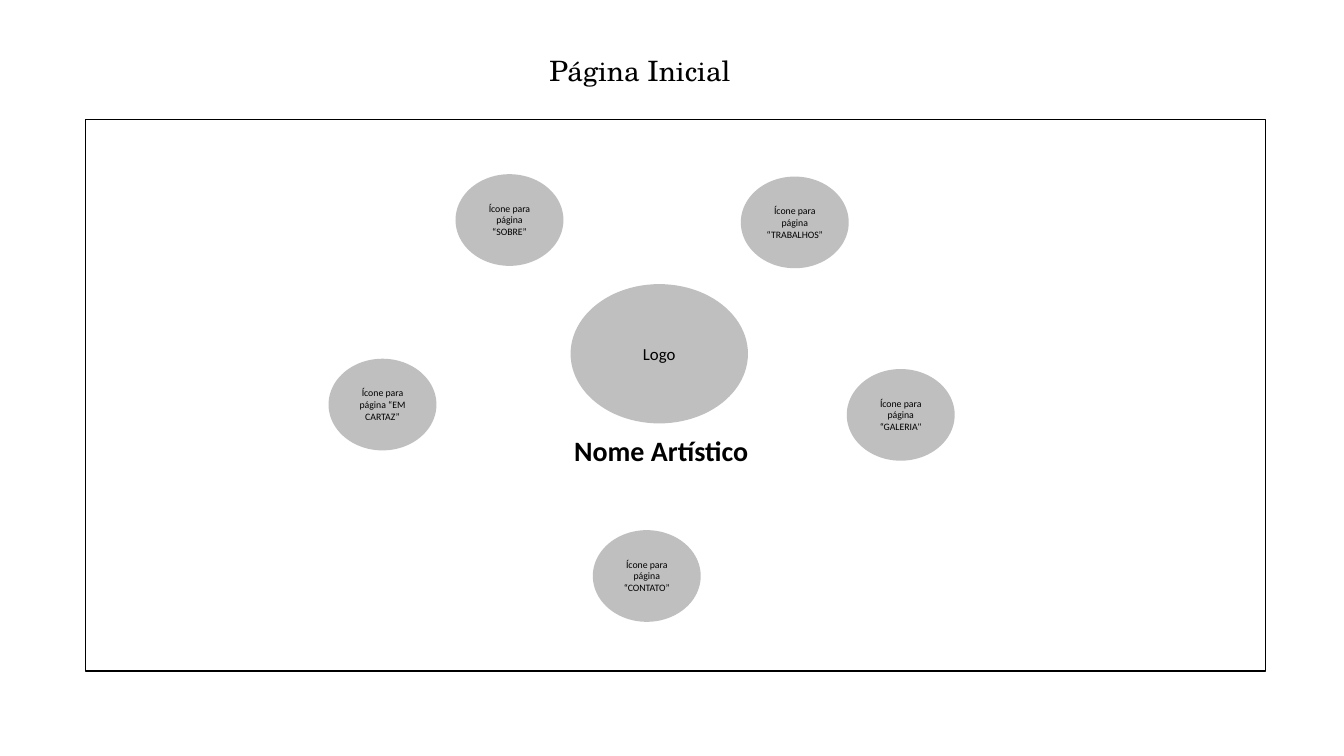
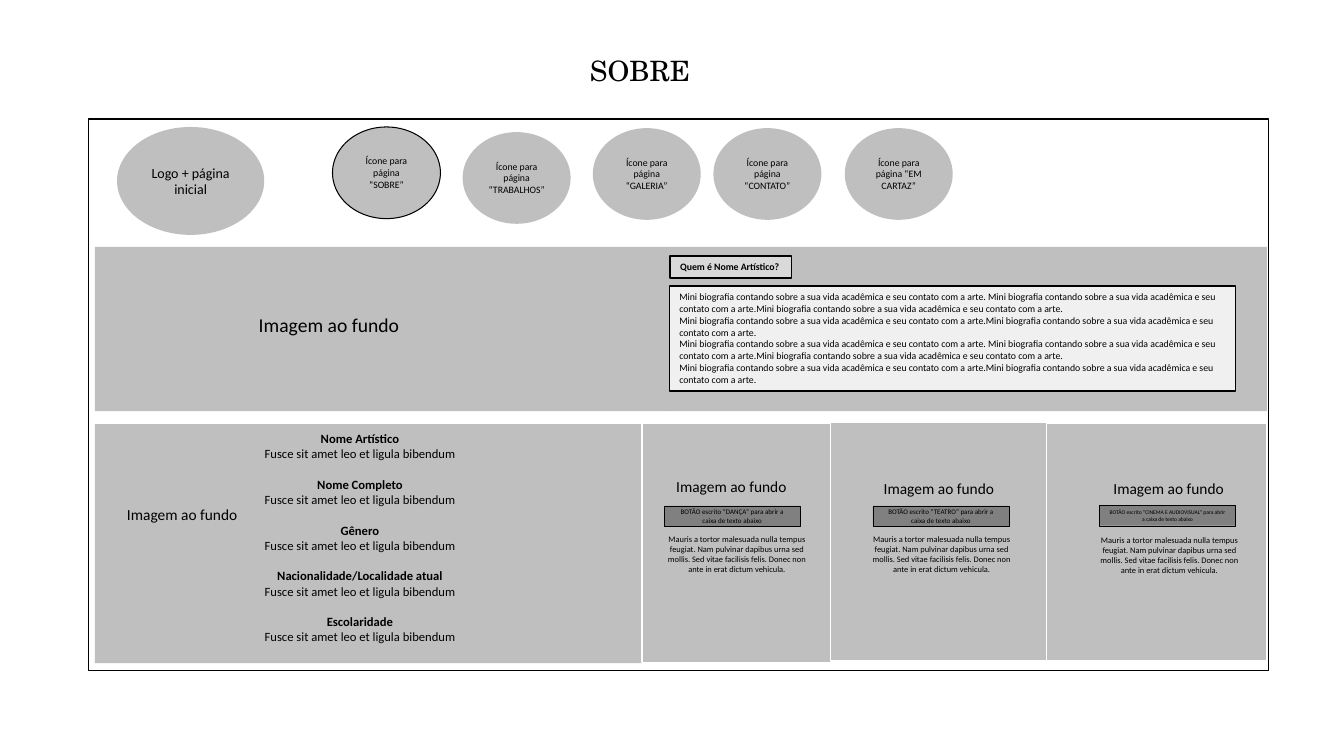
from pptx import Presentation
from pptx.dml.color import RGBColor
from pptx.enum.shapes import MSO_SHAPE as Shape
from pptx.enum.text import MSO_ANCHOR as Anchor, PP_ALIGN as Align
from pptx.util import Cm, Pt

COLORS = {
    "ink": "000000",
    "paper": "FFFFFF",
    "grey": "BFBFBF",
    "button": "808080",
    "tag": "D9D9D9",
    "bio": "F0F0F0",
}
BODY_FONT = "Calibri"
TITLE_FONT = "TeX Gyre Schola"

FRAME_SIZE = (29.74, 13.89)
ICON_SIZE = (2.72, 2.31)
PANEL_LABEL_SIZE = (4.01, 0.74)
BUTTON_SIZE = (3.43, 0.52)
BLURB_SIZE = (4.22, 1.27)

ARTIST = "Nome Artístico"
IMAGE_LABEL = "Imagem ao fundo"

HOME_ICONS = [
    ("“SOBRE”", 11.48, 4.39),
    ("“CONTATO”", 14.94, 13.36),
    ("“GALERIA\"", 21.34, 9.3),
    ("“TRABALHOS”", 18.67, 4.45),
    ("“EM CARTAZ”", 8.28, 9.04),
]
MENU_ICONS = [
    ("“SOBRE”", 8.38, 3.2),
    ("“TRABALHOS”", 11.66, 3.33),
    ("“GALERIA”", 14.94, 3.23),
    ("“CONTATO”", 17.98, 3.23),
    ("“EM CARTAZ”", 21.29, 3.23),
]
CURRENT_ICON = "“SOBRE”"

BIO = "Mini biografia contando sobre a sua vida acadêmica e seu contato com a arte."
BIO_LONG = f"{BIO} {BIO}{BIO}"
BIO_SHORT = BIO + BIO
BIOGRAPHY = [BIO_LONG, BIO_SHORT] * 2

PROFILE_FIELDS = [
    ARTIST,
    "Nome Completo",
    "Gênero",
    "Nacionalidade/Localidade atual",
    "Escolaridade",
]
PROFILE_VALUE = "Fusce sit amet leo et ligula bibendum"
BLURB = (
    "Mauris a tortor malesuada nulla tempus feugiat. Nam pulvinar dapibus urna sed "
    "mollis. Sed vitae facilisis felis. Donec non ante in erat dictum vehicula."
)
ART_PANELS = [
    {"art": "DANÇA", "size": 5, "panel": (16.18, 10.67, 6.2, 6.02),
     "label": (16.79, 11.91), "button": (16.74, 12.75), "blurb": (16.46, 13.34)},
    {"art": "TEATRO", "size": 5, "panel": (20.93, 10.64, 6.2, 6.02),
     "label": (22.02, 11.96), "button": (22, 12.75), "blurb": (21.62, 13.34)},
    {"art": "CINEMA E AUDIOVISUAL", "size": 4, "panel": (26.37, 10.67, 5.56, 5.99),
     "label": (27.81, 11.96), "button": (27.71, 12.73), "blurb": (27.36, 13.36)},
]


def color(name):
    return RGBColor.from_string(COLORS[name])


def style(para, size, bold=False, align=Align.LEFT, font=BODY_FONT):
    para.alignment = align
    para.font.name = font
    para.font.size = Pt(size)
    para.font.bold = bold
    para.font.color.rgb = color("ink")


def write(box, lines, size, bold=False, align=Align.LEFT, anchor=Anchor.TOP):
    frame = box.text_frame
    frame.word_wrap = True
    frame.vertical_anchor = anchor
    frame.text = "\n".join(lines)
    for para in frame.paragraphs:
        style(para, size, bold, align)


def add_text(page, area, lines, size, **options):
    box = page.shapes.add_textbox(*map(Cm, area))
    write(box, lines, size, **options)
    return box


def add_block(page, area, fill, kind=Shape.RECTANGLE, line=None, width=0.75):
    block = page.shapes.add_shape(kind, *map(Cm, area))
    block.shadow.inherit = False
    block.fill.solid()
    block.fill.fore_color.rgb = color(fill)
    if line:
        block.line.color.rgb = color(line)
        block.line.width = Pt(width)
    else:
        block.line.fill.background()
    return block


def add_circle(page, area, text, size, line=None):
    circle = add_block(page, area, "grey", Shape.OVAL, line)
    write(circle, [text], size, align=Align.CENTER, anchor=Anchor.MIDDLE)


def add_icons(page, icons, current=None):
    for name, left, top in icons:
        line = "ink" if name == current else None
        add_circle(page, (left, top, *ICON_SIZE), f"Ícone para página {name}", 7, line)


def add_page(deck, title, left, top):
    page = deck.slides.add_slide(deck.slide_layouts[5])
    heading = page.shapes.title
    heading.left, heading.top, heading.width, heading.height = map(Cm, (11.13, 1.22, 10, 1.12))
    write(heading, [title], 20, anchor=Anchor.MIDDLE)
    style(heading.text_frame.paragraphs[0], 20, align=Align.CENTER, font=TITLE_FONT)
    add_block(page, (left, top, *FRAME_SIZE), "paper", line="ink")
    return page


def build_home(deck):
    page = add_page(deck, "Página Inicial", 2.16, 3.02)
    add_icons(page, HOME_ICONS)
    add_text(page, (14.22, 10.8, 5.23, 1.12), [ARTIST], 20, bold=True)
    add_circle(page, (14.38, 7.16, 4.47, 3.51), "Logo", 12)


def add_biography(page):
    add_block(page, (2.39, 6.22, 14.43, 4.14), "grey")
    add_text(page, (6.27, 7.75, 9.68, 0.86), [IMAGE_LABEL], 14)
    add_block(page, (16.79, 6.22, 15.14, 4.14), "grey")
    bio = add_block(page, (16.87, 7.21, 14.27, 2.64), "bio", line="ink", width=1)
    write(bio, BIOGRAPHY, 7)
    tag = add_block(page, (16.89, 6.45, 3.06, 0.56), "tag", line="ink", width=1)
    write(tag, [f"Quem é {ARTIST}?"], 7, bold=True)


def add_profile(page):
    add_block(page, (2.39, 10.69, 13.79, 6.02), "grey")
    lines = [text for field in PROFILE_FIELDS for text in (field, PROFILE_VALUE)]
    box = add_text(page, (5.26, 10.74, 7.62, 6.02), lines, 9, align=Align.CENTER)
    for index, para in enumerate(box.text_frame.paragraphs):
        para.font.bold = index % 2 == 0
        if index and index % 2 == 0:
            para.space_before = Pt(11)
    add_text(page, (2.95, 12.6, *PANEL_LABEL_SIZE), [IMAGE_LABEL], 11)


def add_art_panels(page):
    for item in ART_PANELS:
        add_block(page, item["panel"], "grey", line="paper", width=1)
    for item in ART_PANELS:
        add_text(page, (*item["label"], *PANEL_LABEL_SIZE), [IMAGE_LABEL], 11)
        button = add_block(page, (*item["button"], *BUTTON_SIZE), "button", line="ink", width=0.25)
        caption = f"BOTÃO escrito “{item['art']}” para abrir a caixa de texto abaixo"
        write(button, [caption], item["size"], align=Align.CENTER, anchor=Anchor.MIDDLE)
        add_text(page, (*item["blurb"], *BLURB_SIZE), [BLURB], 6, align=Align.CENTER)


def build_about(deck):
    page = add_page(deck, "SOBRE", 2.24, 3)
    add_icons(page, MENU_ICONS, CURRENT_ICON)
    add_biography(page)
    add_profile(page)
    add_art_panels(page)
    add_circle(page, (2.95, 3.2, 3.71, 2.72), "Logo + página inicial", 10)


def main():
    deck = Presentation()
    deck.slide_width, deck.slide_height = Cm(33.87), Cm(19.05)
    build_home(deck)
    build_about(deck)
    deck.save("out.pptx")


if __name__ == "__main__":
    main()
